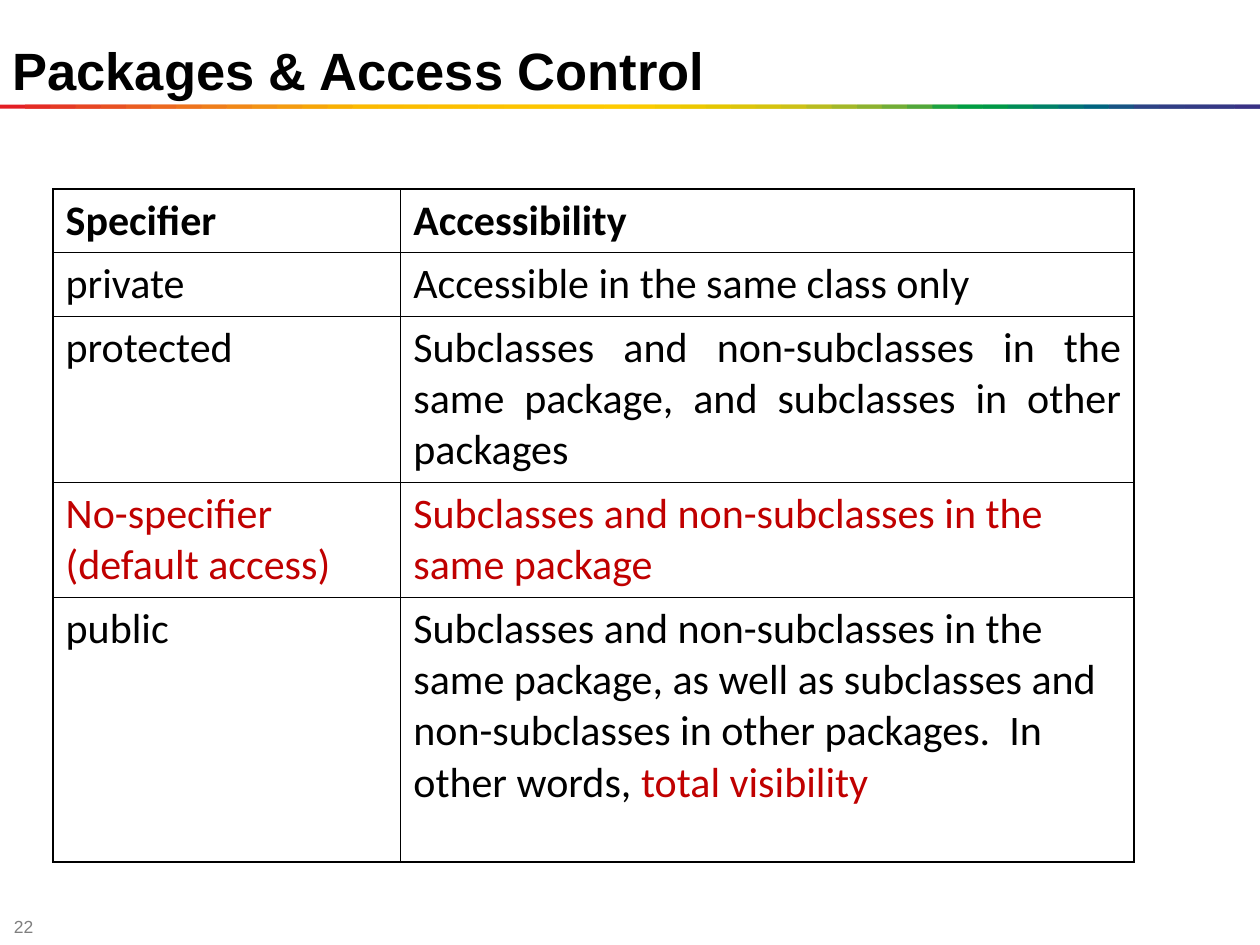
from lxml.etree import SubElement
from pptx import Presentation
from pptx.dml.color import RGBColor
from pptx.enum.shapes import MSO_SHAPE as Shape
from pptx.enum.text import MSO_ANCHOR as Anchor, PP_ALIGN as Align
from pptx.oxml.ns import qn
from pptx.util import Cm, Pt

BLACK = RGBColor(0x00, 0x00, 0x00)
GREY = RGBColor(0x7F, 0x7F, 0x7F)
RED = RGBColor(0xC0, 0x00, 0x00)
RAINBOW = [RGBColor.from_string(code) for code in """
    E31E24 E42C24 E53A24 E74623 E85122 EA5D21 EC691F EE741D EF7E1A F18817
    F39314 F49C0F F6A607 F8B002 FBBA00 FBBB00 FBBD00 FCBF00 FCC000 FCC200
    FDC400 FDC600 FDC700 FEC900 FECB00 FBCB00 F3CA00 ECC800 E4C602 DCC50A
    D5C30E CCC117 B8BC21 A3B829 8CB230 71AD36 51A73B 1DA240 009D43 009846
    008C57 008068 007275 00637F 185384 2E4285 313E85 333B85 353885 393185
""".split()]

THICK, THIN = Pt(1.08), Pt(0.45)
COLS = [7.01, 14.78]
ROWS = [1.28, 1.28, 3.35, 2.32, 5.34]
CELLS = [
    [[("Specifier", BLACK)], [("Accessibility", BLACK)]],
    [[("private", BLACK)], [("Accessible in the same class only", BLACK)]],
    [[("protected", BLACK)],
     [("Subclasses and non-subclasses in the same package, "
       "and subclasses in other packages", BLACK)]],
    [[("No-specifier (default access)", RED)],
     [("Subclasses and non-subclasses in the same package", RED)]],
    [[("public", BLACK)],
     [("Subclasses and non-subclasses in the same package, as well as "
       "subclasses and non-subclasses in other packages.  In other words, ",
       BLACK),
      ("total visibility", RED)]],
]


def write(para, text, size=24, font="Calibri", color=BLACK, bold=False):
    """Add a formatted run to a paragraph."""
    run = para.add_run()
    run.text = text
    run.font.size = Pt(size)
    run.font.name = font
    run.font.color.rgb = color
    run.font.bold = bold


def label(slide, box, text, anchor, **style):
    """Place one line of text in a box."""
    frame = slide.shapes.add_textbox(*map(Cm, box)).text_frame
    frame.word_wrap = True
    frame.vertical_anchor = anchor
    write(frame.paragraphs[0], text, font="Arial", **style)


def stripe(slide, box):
    """Fill a box with overlapping bars in rainbow order."""
    left, top, width, height = box
    step = width / len(RAINBOW)
    group = slide.shapes.add_group_shape()
    for i, color in enumerate(RAINBOW):
        span = min(2 * step, width - i * step)
        bar = group.shapes.add_shape(
            Shape.RECTANGLE, Cm(left + i * step), Cm(top), Cm(span), Cm(height))
        bar.shadow.inherit = False
        bar.fill.solid()
        bar.fill.fore_color.rgb = color
        bar.line.fill.background()


def border(cell, widths):
    """Draw the left, right, top and bottom edges of a cell."""
    props = cell._tc.get_or_add_tcPr()
    for i, (side, width) in enumerate(widths.items()):
        line = SubElement(props, qn(f"a:ln{side}"), w=str(width))
        fill = SubElement(line, qn("a:solidFill"))
        SubElement(fill, qn("a:srgbClr"), val=str(BLACK))
        props.insert(i, line)


def grid(slide, box):
    """Build the table of access specifiers in a box."""
    last, end = len(ROWS) - 1, len(COLS) - 1
    table = slide.shapes.add_table(
        len(ROWS), len(COLS), *map(Cm, box)).table
    table.first_row = table.horz_banding = False
    for col, width in zip(table.columns, COLS):
        col.width = Cm(width)
    for r, (row, height) in enumerate(zip(table.rows, ROWS)):
        row.height = Cm(height)
        for c, cell in enumerate(row.cells):
            cell.fill.background()
            border(cell, {"L": THIN if c else THICK,
                          "R": THICK if c == end else THIN,
                          "T": THIN if r else THICK,
                          "B": THICK if r == last else THIN})
            para = cell.text_frame.paragraphs[0]
            para.space_before = Pt(6)
            for text, color in CELLS[r][c]:
                write(para, text, color=color, bold=r == 0)
    table.cell(2, 1).text_frame.paragraphs[0].alignment = Align.JUSTIFY


def main():
    """Build and save the slide."""
    deck = Presentation()
    deck.slide_width, deck.slide_height = Cm(25.4), Cm(19.05)
    slide = deck.slides.add_slide(deck.slide_layouts[6])
    label(slide, (0.03, 18.47, 0.99, 0.41), "22", Anchor.MIDDLE,
          size=10, color=GREY)
    stripe(slide, (0, 2.11, 25.4, 0.08))
    grid(slide, (1.07, 3.81, sum(COLS), sum(ROWS)))
    label(slide, (0, 0.64, 21, 2.54), "Packages & Access Control", Anchor.TOP,
          size=30, bold=True)
    deck.save("out.pptx")


if __name__ == "__main__":
    main()
